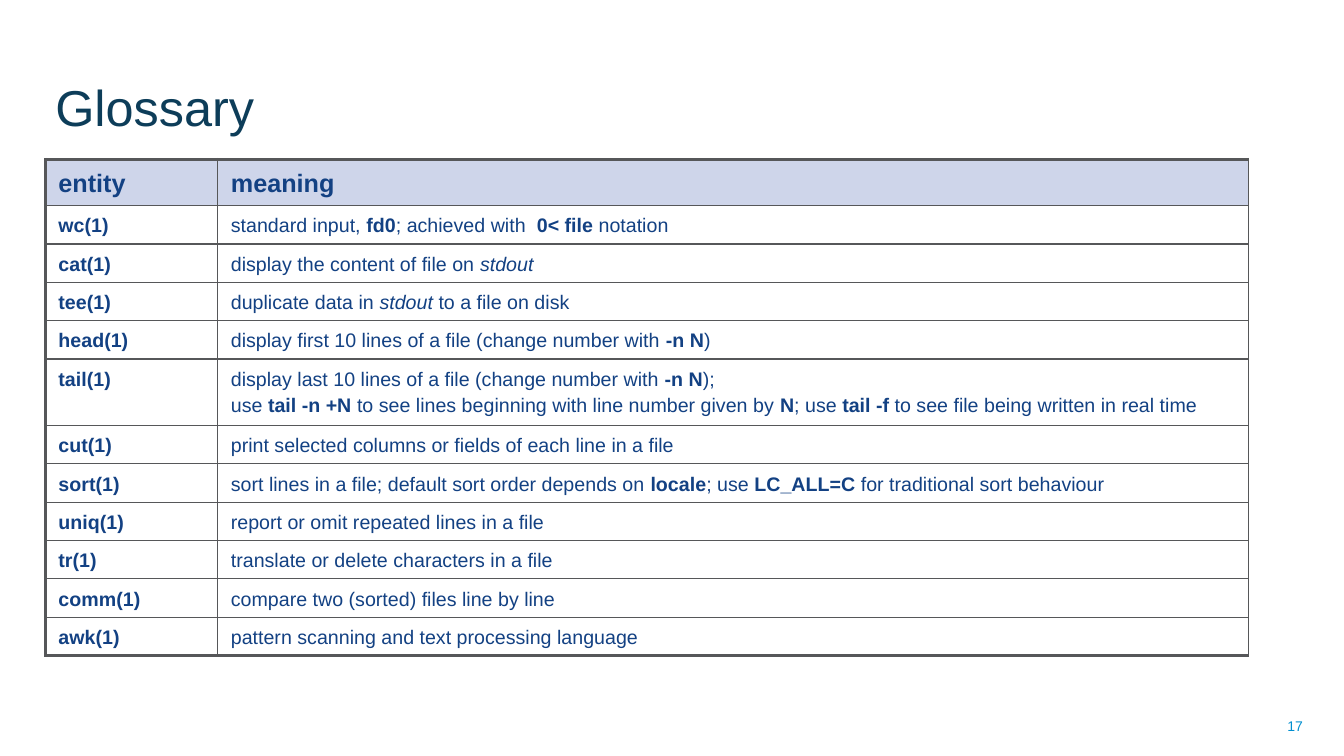
from lxml.etree import SubElement
from pptx import Presentation
from pptx.dml.color import RGBColor
from pptx.enum.text import MSO_ANCHOR, PP_ALIGN
from pptx.oxml.ns import qn
from pptx.util import Inches, Pt

TEXT_COLOR = "134183"
BORDER_COLOR = "565759"
THIN, THICK = 1, 2.25

# Asterisks enclose emphasis: italic for stdout, bold for everything else
glossary = [
    ("entity", "*meaning*"),
    ("wc(1)", "standard input, *fd0*; achieved with  *0< file* notation"),
    ("cat(1)", "display the content of file on *stdout*"),
    ("tee(1)", "duplicate data in *stdout* to a file on disk"),
    ("head(1)", "display first 10 lines of a file (change number with *-n N*)"),
    ("tail(1)", "display last 10 lines of a file (change number with *-n N*);\n"
                "use *tail -n +N* to see lines beginning with line number given by *N*; "
                "use *tail -f* to see file being written in real time"),
    ("cut(1)", "print selected columns or fields of each line in a file"),
    ("sort(1)", "sort lines in a file; default sort order depends on *locale*; "
                "use *LC_ALL=C* for traditional sort behaviour"),
    ("uniq(1)", "report or omit repeated lines in a file"),
    ("tr(1)", "translate or delete characters in a file"),
    ("comm(1)", "compare two (sorted) files line by line"),
    ("awk(1)", "pattern scanning and text processing language"),
]


def style_font(font, size, color):
    font.name = "Arial"
    font.size = Pt(size)
    font.color.rgb = RGBColor.from_string(color)


presentation = Presentation()
presentation.slide_width = Inches(13.33)
presentation.slide_height = Inches(7.5)
slide = presentation.slides.add_slide(presentation.slide_layouts[6])

# Title and page number
for text, box, size, color, anchor, alignment in [
    ("Glossary", (0.45, 0.14, 9.98, 1.26), 36, "0D3D59", MSO_ANCHOR.BOTTOM, PP_ALIGN.LEFT),
    ("17", (9.91, 7, 3.11, 0.4), 10, "008FD0", MSO_ANCHOR.MIDDLE, PP_ALIGN.RIGHT),
]:
    text_frame = slide.shapes.add_textbox(*map(Inches, box)).text_frame
    text_frame.word_wrap = True
    text_frame.vertical_anchor = anchor
    text_frame.text = text
    paragraph = text_frame.paragraphs[0]
    paragraph.alignment = alignment
    style_font(paragraph.runs[0].font, size, color)

# Glossary table
last_row = len(glossary) - 1
table = slide.shapes.add_table(
    len(glossary), 2, Inches(0.45), Inches(1.58), Inches(11.93), Inches(4.6)
).table
table.columns[0].width = Inches(1.71)
table.columns[1].width = Inches(10.22)

for row, (entity, meaning) in enumerate(glossary):
    is_header = row == 0
    size = 18 if is_header else 14
    table.rows[row].height = Inches(0.4 if is_header else 0.33)

    for column, content in enumerate((f"*{entity}*", meaning)):
        cell = table.cell(row, column)
        cell.margin_left = cell.margin_right = Inches(0.13)
        cell.margin_top = cell.margin_bottom = Inches(0.05)

        # Text with emphasis and line breaks
        paragraph = cell.text_frame.paragraphs[0]
        paragraph.line_spacing = 1.2
        for line_number, line in enumerate(content.split("\n")):
            if line_number:
                paragraph.add_line_break()
                line_break = paragraph._p.findall(qn("a:br"))[-1]
                SubElement(line_break, qn("a:rPr"), sz=str(size * 100))
            for position, piece in enumerate(line.split("*")):
                if not piece:
                    continue
                run = paragraph.add_run()
                run.text = piece
                style_font(run.font, size, TEXT_COLOR)
                emphasised = position % 2 == 1
                run.font.italic = emphasised and piece == "stdout"
                run.font.bold = emphasised and piece != "stdout"

        # Borders: thick on the left, top and bottom edges of the table
        borders = {
            "a:lnL": THICK if column == 0 else THIN,
            "a:lnR": THIN,
            "a:lnT": THICK if is_header else THIN,
            "a:lnB": THICK if row == last_row else THIN,
        }
        cell_properties = cell._tc.get_or_add_tcPr()
        for tag, width in borders.items():
            border = SubElement(cell_properties, qn(tag), w=str(Pt(width)))
            border_fill = SubElement(border, qn("a:solidFill"))
            SubElement(border_fill, qn("a:srgbClr"), val=BORDER_COLOR)

        # Cell fill
        if is_header:
            cell.fill.solid()
            cell.fill.fore_color.rgb = RGBColor.from_string("CED5EA")
        else:
            cell.fill.background()

presentation.save("out.pptx")
